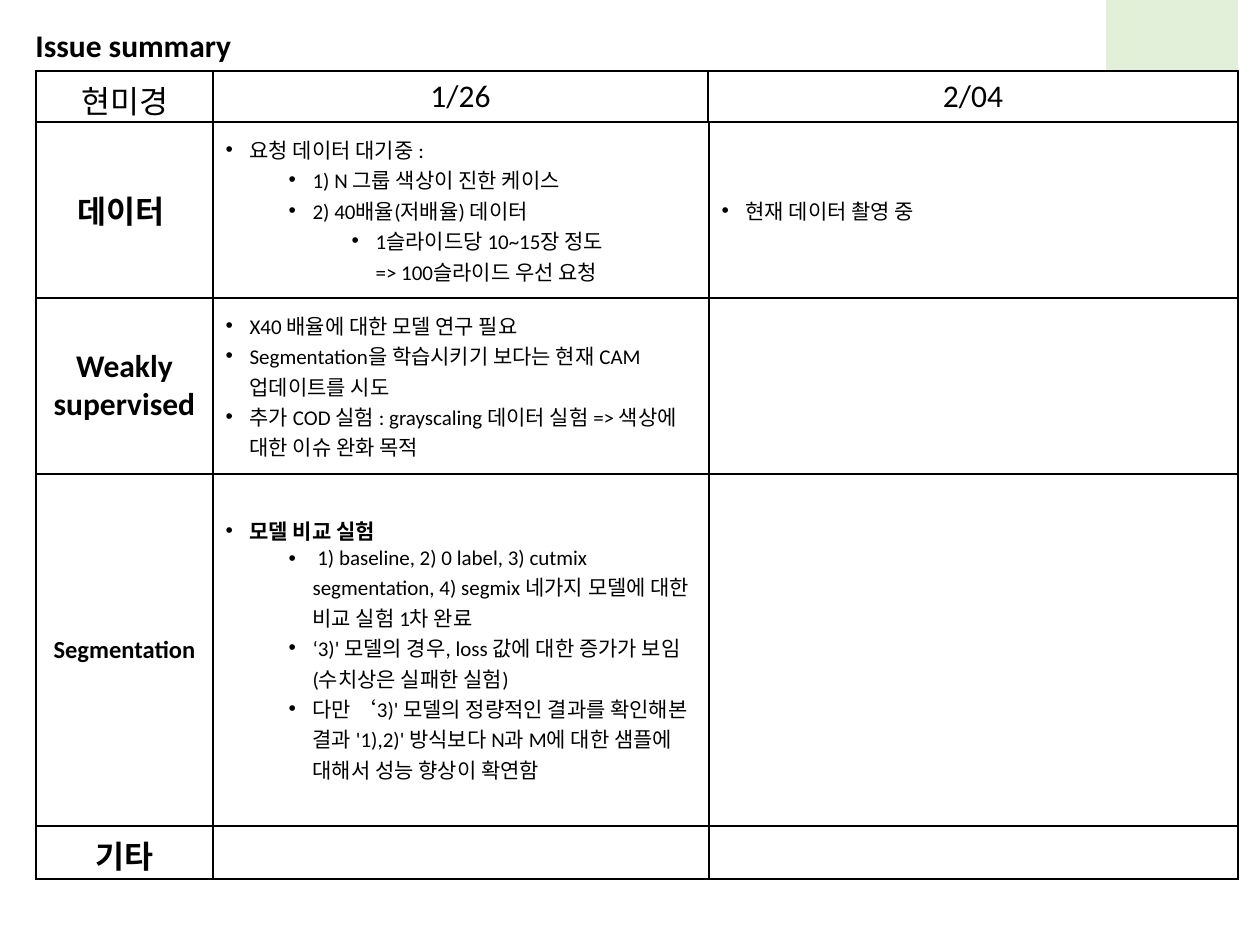
"""Build the issue summary slide: a title, a date header and a table of issues."""
from lxml import etree
from pptx import Presentation
from pptx import util as u
from pptx.dml.color import RGBColor
from pptx.enum import shapes, text
from pptx.oxml import parse_xml
from pptx.oxml.ns import nsdecls, qn

BLACK = RGBColor(0x00, 0x00, 0x00)
WHITE = RGBColor(0xFF, 0xFF, 0xFF)
GREEN = RGBColor(0xE2, 0xF0, 0xD9)
SCALE = u.Inches(1) / 126
LEFT = 36
INDENT = 24
LEVEL_STEP = 63


def px(length):
    return u.Emu(round(length * SCALE))


def write(para, words, size, bold=False, level=None):
    para.text = words
    if level is None:
        para.alignment = text.PP_ALIGN.CENTER
    else:
        para.level = level
        props = para._p.get_or_add_pPr()
        props.set("marL", str(px(INDENT + LEVEL_STEP * level)))
        props.set("indent", str(px(-INDENT)))
        etree.SubElement(props, qn("a:buFont")).set("typeface", "Arial")
        etree.SubElement(props, qn("a:buChar")).set("char", "•")
    para.font.name = "Calibri"
    para.font.size = u.Pt(size)
    para.font.bold = bold
    para.font.color.rgb = BLACK


deck = Presentation()
deck.slide_width, deck.slide_height = px(1260), px(945)
page = deck.slides.add_slide(deck.slide_layouts[6])

accent = page.shapes.add_shape(shapes.MSO_SHAPE.RECTANGLE, px(1106), px(-19), px(132), px(181))
accent.shadow.inherit = False
accent.fill.solid()
accent.fill.fore_color.rgb = GREEN
accent.line.fill.background()

title = page.shapes.add_textbox(px(23), px(20), px(394), px(51))
title.text_frame.word_wrap = True
title.text_frame.auto_size = text.MSO_AUTO_SIZE.SHAPE_TO_FIT_TEXT
write(title.text_frame.paragraphs[0], "Issue summary", 18, bold=True)
title.text_frame.paragraphs[0].alignment = text.PP_ALIGN.LEFT

header_rows = [
    [[("현미경", 18)], [("1/26", 18)], [("2/04", 18)]],
    [[], [], []],
]
issue_rows = [
    [
        [("데이터 ", 18, True)],
        [
            ("요청 데이터 대기중 :", 12, False, 0),
            ("1) N 그룹 색상이 진한 케이스", 12, False, 1),
            ("2) 40배율(저배율) 데이터", 12, False, 1),
            ("1슬라이드당 10~15장 정도\v=> 100슬라이드 우선 요청", 12, False, 2),
        ],
        [("현재 데이터 촬영 중", 12, False, 0)],
    ],
    [
        [("Weakly supervised", 18, True)],
        [
            ("X40 배율에 대한 모델 연구 필요", 12, False, 0),
            ("Segmentation을 학습시키기 보다는 현재 CAM 업데이트를 시도", 12, False, 0),
            ("추가 COD 실험 : grayscaling 데이터 실험 => 색상에 대한 이슈 완화 목적", 12, False, 0),
        ],
        [],
    ],
    [
        [("Segmentation", 14, True)],
        [
            ("모델 비교 실험", 12, True, 0),
            (" 1) baseline, 2) 0 label, 3) cutmix segmentation, 4) segmix 네가지 모델에 대한 비교 실험 1차 완료",
             12, False, 1),
            ("‘3)' 모델의 경우, loss 값에 대한 증가가 보임 (수치상은 실패한 실험)", 12, False, 1),
            ("다만 ‘3)' 모델의 정량적인 결과를 확인해본 결과 '1),2)' 방식보다 N과 M에 대한 "
             "샘플에 대해서 성능 향상이 확연함", 12, False, 1),
        ],
        [],
    ],
    [[("기타", 18, True)], [], []],
]
tables = [
    (71, [177, 495, 530], [23, 68], header_rows),
    (122, [177, 496, 529], [176, 176, 352, 53], issue_rows),
]

for top, widths, heights, rows in tables:
    frame = page.shapes.add_table(
        len(rows), len(widths), px(LEFT), px(top), px(sum(widths)), px(sum(heights)))
    grid = frame.table
    grid.first_row = grid.horz_banding = False
    for column, width in zip(grid.columns, widths):
        column.width = px(width)
    for row, height, entries in zip(grid.rows, heights, rows):
        row.height = px(height)
        for cell, lines in zip(row.cells, entries):
            cell.vertical_anchor = text.MSO_ANCHOR.MIDDLE
            cell.fill.solid()
            cell.fill.fore_color.rgb = WHITE
            props = cell._tc.get_or_add_tcPr()
            for place, side in enumerate("LRTB"):
                props.insert(place, parse_xml(
                    f'<a:ln{side} {nsdecls("a")} w="{u.Pt(1)}"><a:solidFill>'
                    f'<a:srgbClr val="{BLACK}"/></a:solidFill></a:ln{side}>'))
            for number, line in enumerate(lines):
                body = cell.text_frame
                write(body.add_paragraph() if number else body.paragraphs[0], *line)

deck.save("out.pptx")
